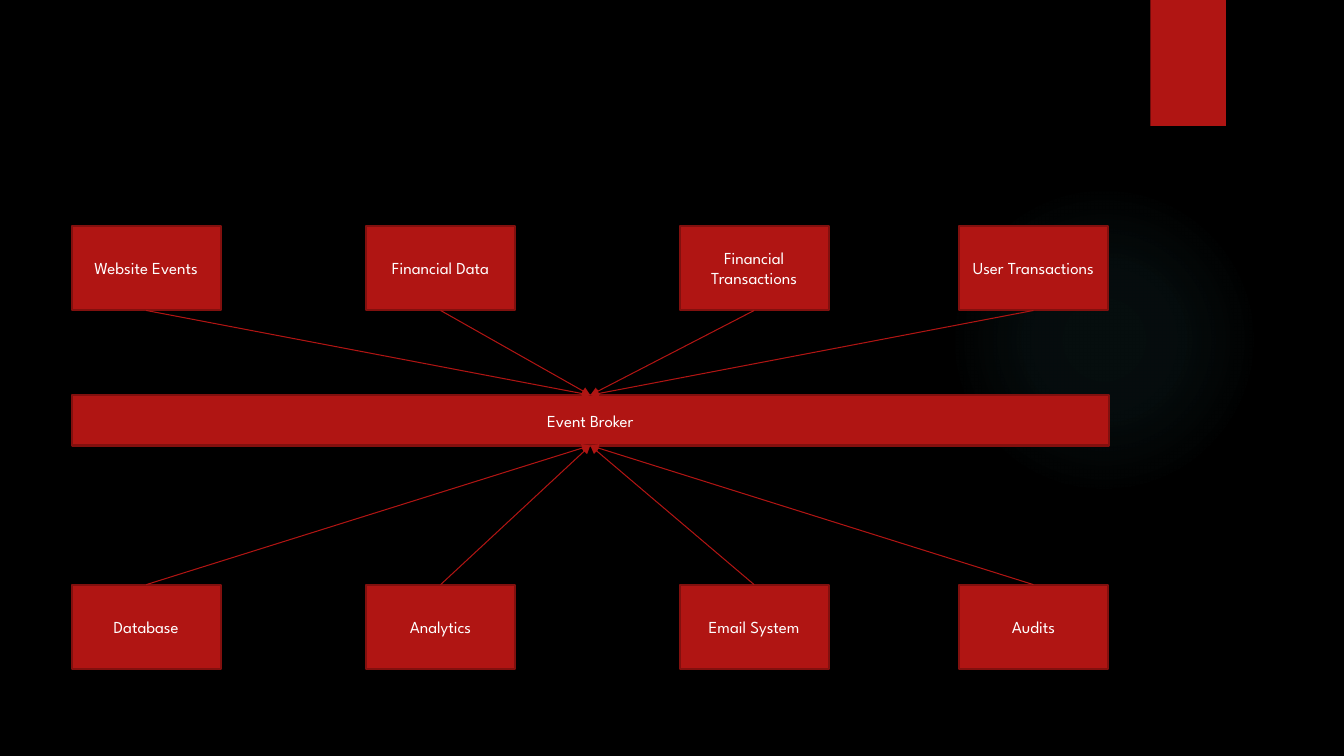
from dataclasses import dataclass

from pptx import Presentation
from pptx.dml.color import RGBColor
from pptx.enum.shapes import MSO_CONNECTOR, MSO_SHAPE
from pptx.enum.text import MSO_ANCHOR, PP_ALIGN
from pptx.oxml import parse_xml
from pptx.oxml.ns import nsdecls
from pptx.util import Inches, Pt

RECTANGLE, OVAL = MSO_SHAPE.RECTANGLE, MSO_SHAPE.OVAL
STRAIGHT = MSO_CONNECTOR.STRAIGHT
MIDDLE, CENTER = MSO_ANCHOR.MIDDLE, PP_ALIGN.CENTER
TOP_SITE, BOTTOM_SITE = 0, 2  # connection sites of a rectangle


@dataclass(frozen=True)
class Theme:
    background: str = "000000"
    accent: str = "B01513"
    border: str = "82100E"
    glow: str = "50B9C1"
    text: str = "FFFFFF"
    font: str = "League Spartan"
    label_size: float = 12
    space_before: float = 10
    border_width: float = 1.5
    arrow_width: float = 0.75


class Diagram:
    def __init__(self, slide, theme):
        self.slide, self.theme = slide, theme
        self.fill(slide.background, theme.background)

    def fill(self, target, color):
        target.fill.solid()
        target.fill.fore_color.rgb = RGBColor.from_string(color)

    def shape(self, kind, left, top, width, height):
        shape = self.slide.shapes.add_shape(
            kind, Inches(left), Inches(top), Inches(width), Inches(height))
        shape.shadow.inherit = False
        shape.line.fill.background()
        return shape

    def glow(self, left, top, size, stops):
        """Circle that fades outward; stops are (position, opacity) in percent."""
        circle = self.shape(OVAL, left, top, size, size)
        circle.fill.background()
        stop_xml = "".join(
            f'<a:gs pos="{pos * 1000}"><a:srgbClr val="{self.theme.glow}">'
            f'<a:alpha val="{opacity * 1000}"/></a:srgbClr></a:gs>'
            for pos, opacity in stops)
        gradient = parse_xml(
            f'<a:gradFill {nsdecls("a")} rotWithShape="1"><a:gsLst>{stop_xml}</a:gsLst>'
            '<a:path path="circle"><a:fillToRect l="50000" t="50000" r="50000" b="50000"/>'
            '</a:path></a:gradFill>')
        properties = circle._element.spPr
        properties.replace(properties.find("{*}noFill"), gradient)

    def block(self, left, top, width, height):
        block = self.shape(RECTANGLE, left, top, width, height)
        self.fill(block, self.theme.accent)
        return block

    def box(self, label, left, top, width, height):
        box = self.block(left, top, width, height)
        box.line.color.rgb = RGBColor.from_string(self.theme.border)
        box.line.width = Pt(self.theme.border_width)
        frame = box.text_frame
        frame.word_wrap = True
        frame.vertical_anchor = MIDDLE
        paragraph = frame.paragraphs[0]
        paragraph.alignment = CENTER
        paragraph.space_before = Pt(self.theme.space_before)
        run = paragraph.add_run()
        run.text = label
        run.font.name = self.theme.font
        run.font.size = Pt(self.theme.label_size)
        run.font.color.rgb = RGBColor.from_string(self.theme.text)
        return box

    def arrow(self, start, start_site, end, end_site):
        arrow = self.slide.shapes.add_connector(STRAIGHT, 0, 0, 0, 0)
        arrow.begin_connect(start, start_site)
        arrow.end_connect(end, end_site)
        arrow.line.color.rgb = RGBColor.from_string(self.theme.accent)
        arrow.line.width = Pt(self.theme.arrow_width)
        arrow.line._get_or_add_ln().append(
            parse_xml(f'<a:tailEnd {nsdecls("a")} type="triangle"/>'))
        arrow._element.spPr.append(parse_xml(f'<a:effectLst {nsdecls("a")}/>'))


presentation = Presentation()
presentation.slide_width, presentation.slide_height = Inches(13.33), Inches(7.5)
blank = presentation.slide_layouts[6]
diagram = Diagram(presentation.slides.add_slide(blank), Theme())

# Backdrop: soft glow and corner tab
diagram.glow(9.41, 1.83, 3.08, [(0, 7), (36, 6), (69, 0)])
diagram.block(11.41, 0, 0.75, 1.25)

# Sources above and systems below share the same columns
COLUMNS = [0.71, 3.63, 6.74, 9.51]
BOX_WIDTH, BOX_HEIGHT = 1.48, 0.84


def box_row(labels, top):
    return [diagram.box(label, left, top, BOX_WIDTH, BOX_HEIGHT)
            for label, left in zip(labels, COLUMNS)]


sources = box_row(["Website Events", "Financial Data",
                   "Financial Transactions", "User Transactions"], 2.24)
systems = box_row(["Database", "Analytics", "Email System", "Audits"], 5.8)

# Broker bar between the rows
broker = diagram.box("Event Broker", COLUMNS[0], 3.92, 10.29, 0.5)

# Arrows into the broker
for source in sources:
    diagram.arrow(source, BOTTOM_SITE, broker, TOP_SITE)
for system in systems:
    diagram.arrow(system, TOP_SITE, broker, BOTTOM_SITE)

presentation.save("out.pptx")
